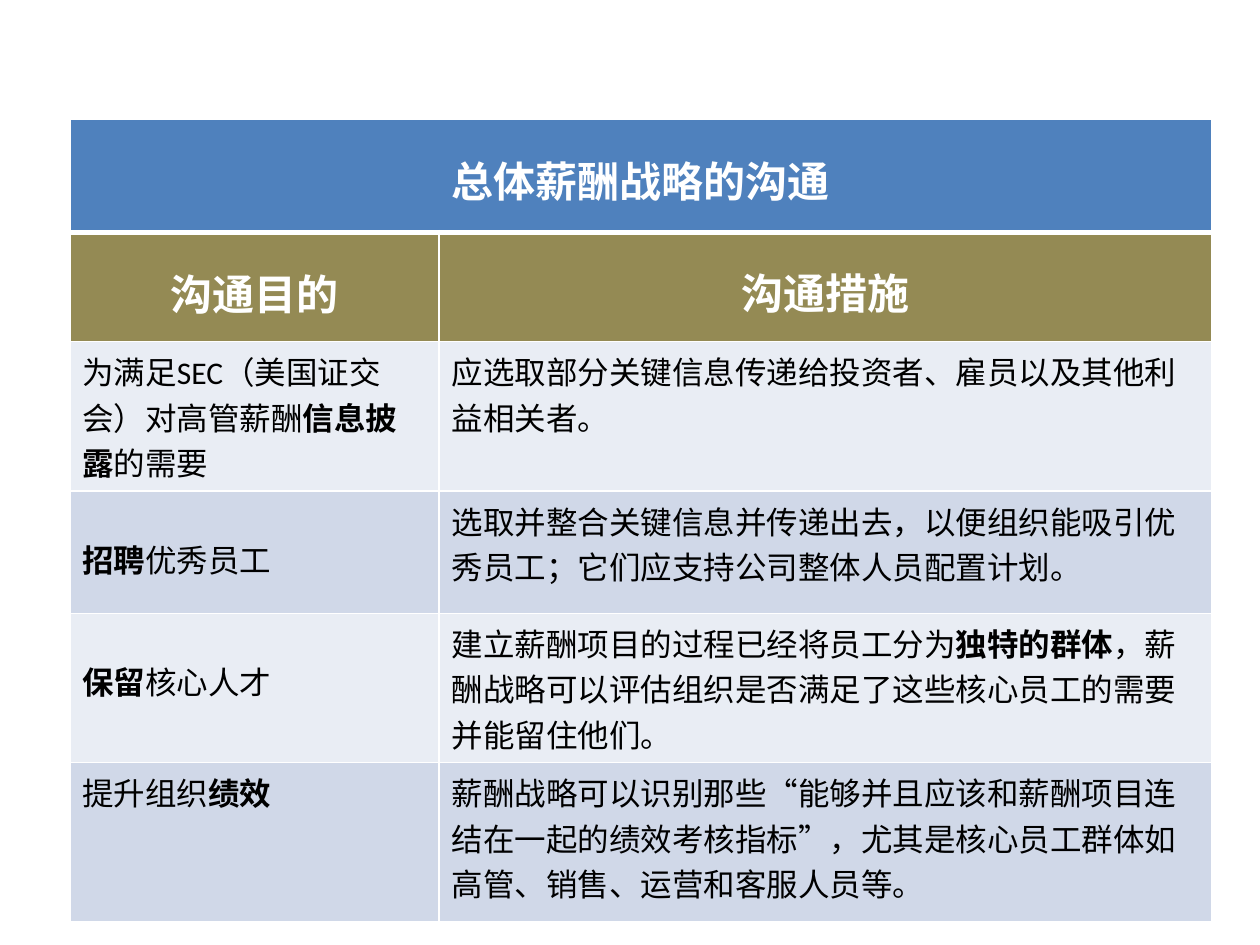
import pptx
import pptx.dml.color
import pptx.enum.text
import pptx.oxml
import pptx.oxml.ns
import pptx.util

Pt = pptx.util.Pt
BLUE, TAN, PALE, MIST = "4F81BD", "948A54", "E9EDF4", "D0D8E8"
WHITE, BLACK = "FFFFFF", "000000"


def color(code):
    return pptx.dml.color.RGBColor.from_string(code)


class Deck:
    """Holds the style and the current slide."""
    font = "Calibri"
    head, body = 24, 18
    pad = 3.6

    def __init__(self, wide, high):
        self.prs = pptx.Presentation()
        self.prs.slide_width, self.prs.slide_height = Pt(wide), Pt(high)
        self.slide = self.prs.slides.add_slide(self.prs.slide_layouts[6])

    def table(self, left, top, cols, rows):
        frame = self.slide.shapes.add_table(
            len(rows), len(cols), Pt(left), Pt(top), Pt(sum(cols)), Pt(sum(rows)))
        grid = frame.table
        grid.first_row = grid.horz_banding = False
        for col, wide in zip(grid.columns, cols):
            col.width = Pt(wide)
        for row, high in zip(grid.rows, rows):
            row.height = Pt(high)
        return grid

    def border(self, cell, top, base):
        props = cell._tc.get_or_add_tcPr()
        for side, width in (("L", 1), ("R", 1), ("T", top), ("B", base)):
            props.append(pptx.oxml.parse_xml(
                f'<a:ln{side} {pptx.oxml.ns.nsdecls("a")} w="{Pt(width)}">'
                f'<a:solidFill><a:srgbClr val="{WHITE}"/></a:solidFill></a:ln{side}>'))

    def paint(self, cell, code, alpha=100):
        cell.fill.solid()
        cell.fill.fore_color.rgb = color(code)
        if alpha < 100:
            tint = cell._tc.tcPr.find(".//" + pptx.oxml.ns.qn("a:srgbClr"))
            tint.append(pptx.oxml.parse_xml(
                f'<a:alpha {pptx.oxml.ns.nsdecls("a")} val="{alpha * 1000}"/>'))

    def text(self, cell, words, drop=0, head=False):
        """Write words in a cell; parts between asterisks are bold."""
        cell.margin_top = Pt(self.pad + drop)
        para = cell.text_frame.paragraphs[0]
        if head:
            para.alignment = pptx.enum.text.PP_ALIGN.CENTER
        para.font.name = self.font
        para.font.size = Pt(self.head if head else self.body)
        para.font.color.rgb = color(WHITE if head else BLACK)
        for spot, part in enumerate(words.split("*")):
            if part:
                run = para.add_run()
                run.text = part
                run.font.bold = head or spot % 2 == 1


def main():
    deck = Deck(720, 540)
    grid = deck.table(39.9, 67.9, [210.9, 441.5],
                      [64.8, 62.6, 69.8, 69.8, 69.8, 90.7])

    # White rules, thicker under the heading
    for num, row in enumerate(grid.rows):
        for cell in row.cells:
            deck.border(cell, 3 if num == 1 else 1, 3 if num == 0 else 1)

    # Heading across both columns
    title = grid.cell(0, 0)
    title.merge(grid.cell(0, 1))
    deck.paint(title, BLUE)
    deck.text(title, "总体薪酬战略的沟通", 13.4, True)

    # Column heads
    for col, (words, drop) in enumerate([("沟通目的", 13.4), ("沟通措施", 12.8)]):
        deck.paint(grid.cell(1, col), TAN, 64)
        deck.text(grid.cell(1, col), words, drop, True)

    # Aim, its drop from the row top, and measure
    body = [
        ("为满足SEC（美国证交会）对高管薪酬*信息披露*的需要", 0,
         "应选取部分关键信息传递给投资者、雇员以及其他利益相关者。"),
        ("*招聘*优秀员工", 22,
         "选取并整合关键信息并传递出去，以便组织能吸引优秀员工；它们应支持公司整体人员配置计划。"),
        ("*保留*核心人才", 22,
         "建立薪酬项目的过程已经将员工分为*独特的群体*，薪酬战略可以评估组织是否满足了这些核心员工的需要并能留住他们。"),
        ("提升组织*绩效*", 0,
         "薪酬战略可以识别那些“能够并且应该和薪酬项目连结在一起的绩效考核指标”，尤其是核心员工群体如高管、销售、运营和客服人员等。"),
    ]
    for num, (aim, drop, deed) in enumerate(body):
        left, right = grid.cell(num + 2, 0), grid.cell(num + 2, 1)
        for cell in (left, right):
            deck.paint(cell, MIST if num % 2 else PALE)
        deck.text(left, aim, drop)
        deck.text(right, deed)

    deck.prs.save("out.pptx")


if __name__ == "__main__":
    main()
